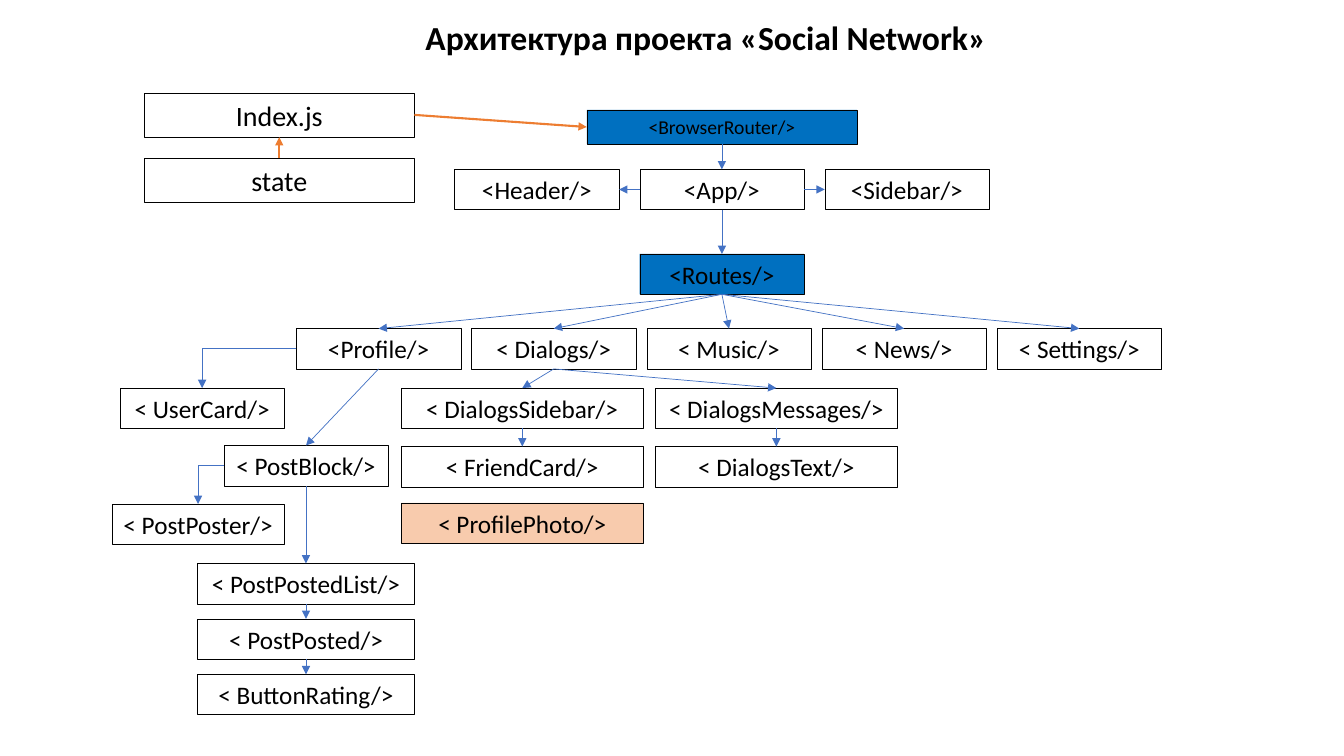
from collections import namedtuple

from lxml.etree import SubElement
from pptx import Presentation
from pptx.dml.color import RGBColor
from pptx.enum.shapes import MSO_CONNECTOR, MSO_SHAPE
from pptx.enum.text import MSO_ANCHOR, MSO_AUTO_SIZE, PP_ALIGN
from pptx.oxml.ns import qn
from pptx.util import Inches, Pt

COLORS = {
    "text": "000000",
    "outline": "000000",
    "router": "0070C0",
    "shared": "F8CBAD",
    "render": "4472C4",
    "data": "ED7D31",
}
FONT = "Calibri"
ROW = 0.4
NARROW = 1.63
TOP, LEFT, BOTTOM, RIGHT = range(4)

Box = namedtuple("Box", "left top width height")


def color(name):
    return RGBColor.from_string(COLORS[name])


def write(frame, wording, size, align, bold=False):
    paragraph = frame.paragraphs[0]
    paragraph.alignment = align
    run = paragraph.add_run()
    run.text = wording
    run.font.name = FONT
    run.font.size = Pt(size)
    run.font.bold = bold
    run.font.color.rgb = color("text")


def add_component(slide, label, box, size=18, fill=None):
    component = slide.shapes.add_shape(MSO_SHAPE.RECTANGLE, *map(Inches, box))
    component.shadow.inherit = False
    if fill:
        component.fill.solid()
        component.fill.fore_color.rgb = color(fill)
    else:
        component.fill.background()
    component.line.color.rgb = color("outline")
    component.line.width = Pt(0.25)
    component.text_frame.word_wrap = True
    component.text_frame.vertical_anchor = MSO_ANCHOR.MIDDLE
    write(component.text_frame, label, size, PP_ALIGN.CENTER)
    return component


def add_arrow(slide, parent, child, exit_side=BOTTOM, entry_side=TOP,
              stroke="render", weight=0.5, bent=False):
    kind = MSO_CONNECTOR.ELBOW if bent else MSO_CONNECTOR.STRAIGHT
    arrow = slide.shapes.add_connector(kind, 0, 0, 0, 0)
    arrow.begin_connect(parent, exit_side)
    arrow.end_connect(child, entry_side)
    arrow.line.color.rgb = color(stroke)
    arrow.line.width = Pt(weight)
    properties = arrow.line._get_or_add_ln()
    SubElement(properties, qn("a:tailEnd"), type="triangle")
    outline = properties.getparent()
    SubElement(outline, qn("a:effectLst"))
    if bent:
        outline.find(qn("a:prstGeom")).set("prst", "bentConnector2")


def add_heading(slide, box):
    heading = slide.shapes.title
    heading.left, heading.top, heading.width, heading.height = map(Inches, box)
    frame = heading.text_frame
    frame.word_wrap = False
    frame.auto_size = MSO_AUTO_SIZE.SHAPE_TO_FIT_TEXT
    write(frame, "Архитектура проекта «Social Network»", 24, PP_ALIGN.LEFT, bold=True)


def add_entry(slide, box):
    height = 0.44
    index, state = [
        add_component(slide, label, Box(box.left, top, box.width, height), 20)
        for label, top in (("Index.js", box.top),
                           ("state", box.top + box.height - height))
    ]
    add_arrow(slide, state, index, TOP, BOTTOM, "data", 1.5)
    return index


def add_shell(slide, box):
    center = box.left + box.width / 2
    browser_router = add_component(
        slide, "<BrowserRouter/>", Box(center - 1.34, box.top, 2.68, 0.34), 14, "router")
    pitch = (box.width - NARROW) / 2
    header, app, sidebar = [
        add_component(slide, label,
                      Box(box.left + i * pitch, box.top + 0.59, NARROW, ROW))
        for i, label in enumerate(("<Header/>", "<App/>", "<Sidebar/>"))
    ]
    routes = add_component(
        slide, "<Routes/>",
        Box(center - NARROW / 2, box.top + box.height - ROW, NARROW, ROW), fill="router")
    add_arrow(slide, browser_router, app)
    add_arrow(slide, app, header, LEFT, RIGHT)
    add_arrow(slide, app, sidebar, RIGHT, LEFT)
    add_arrow(slide, app, routes)
    return browser_router, routes


def add_pages(slide, box, routes):
    labels = ("<Profile/>", "< Dialogs/>", "< Music/>", "< News/>", "< Settings/>")
    pitch = (box.width - NARROW) / (len(labels) - 1)
    pages = []
    for i, label in enumerate(labels):
        page = add_component(
            slide, label, Box(box.left + i * pitch, box.top, NARROW, box.height))
        add_arrow(slide, routes, page)
        pages.append(page)
    return pages


def add_profile_branch(slide, box, profile):
    user_card = add_component(
        slide, "< UserCard/>", Box(box.left + 0.08, box.top, NARROW, ROW))
    post_block = add_component(
        slide, "< PostBlock/>", Box(box.left + 1.11, box.top + 0.57, NARROW, ROW))
    post_poster = add_component(
        slide, "< PostPoster/>", Box(box.left, box.top + 1.15, 1.71, ROW))
    add_arrow(slide, profile, user_card, LEFT, bent=True)
    add_arrow(slide, profile, post_block)
    add_arrow(slide, post_block, post_poster, LEFT, bent=True)

    width = 2.15
    parent = post_block
    for i, label in enumerate(("< PostPostedList/>", "< PostPosted/>", "< ButtonRating/>")):
        child = add_component(
            slide, label,
            Box(box.left + box.width - width, box.top + 1.74 + i * 0.55, width, ROW))
        add_arrow(slide, parent, child)
        parent = child


def add_dialogs_branch(slide, box, dialogs):
    width = 2.4
    columns = (("< DialogsSidebar/>", "< FriendCard/>"),
               ("< DialogsMessages/>", "< DialogsText/>"))
    for i, labels in enumerate(columns):
        left = box.left + i * (box.width - width)
        parent = dialogs
        for j, label in enumerate(labels):
            child = add_component(
                slide, label, Box(left, box.top + j * 0.58, width, ROW))
            add_arrow(slide, parent, child)
            parent = child
    add_component(slide, "< ProfilePhoto/>",
                  Box(box.left, box.top + box.height - ROW, width, ROW), fill="shared")


def build_architecture(deck):
    slide = deck.slides.add_slide(deck.slide_layouts[5])
    add_heading(slide, Box(4.12, 0.12, 5.82, 0.5))
    index = add_entry(slide, Box(1.43, 0.92, 2.68, 1.09))
    browser_router, routes = add_shell(slide, Box(4.51, 1.09, 5.3, 1.83))
    add_arrow(slide, index, browser_router, RIGHT, LEFT, "data", 1.5)
    profile, dialogs, *_ = add_pages(slide, Box(2.94, 3.26, 8.58, ROW), routes)
    add_profile_branch(slide, Box(1.11, 3.85, 3, 3.24), profile)
    add_dialogs_branch(slide, Box(3.98, 3.85, 4.92, 1.54), dialogs)


deck = Presentation()
deck.slide_width = Inches(13.33)
deck.slide_height = Inches(7.5)
build_architecture(deck)
deck.save("out.pptx")
